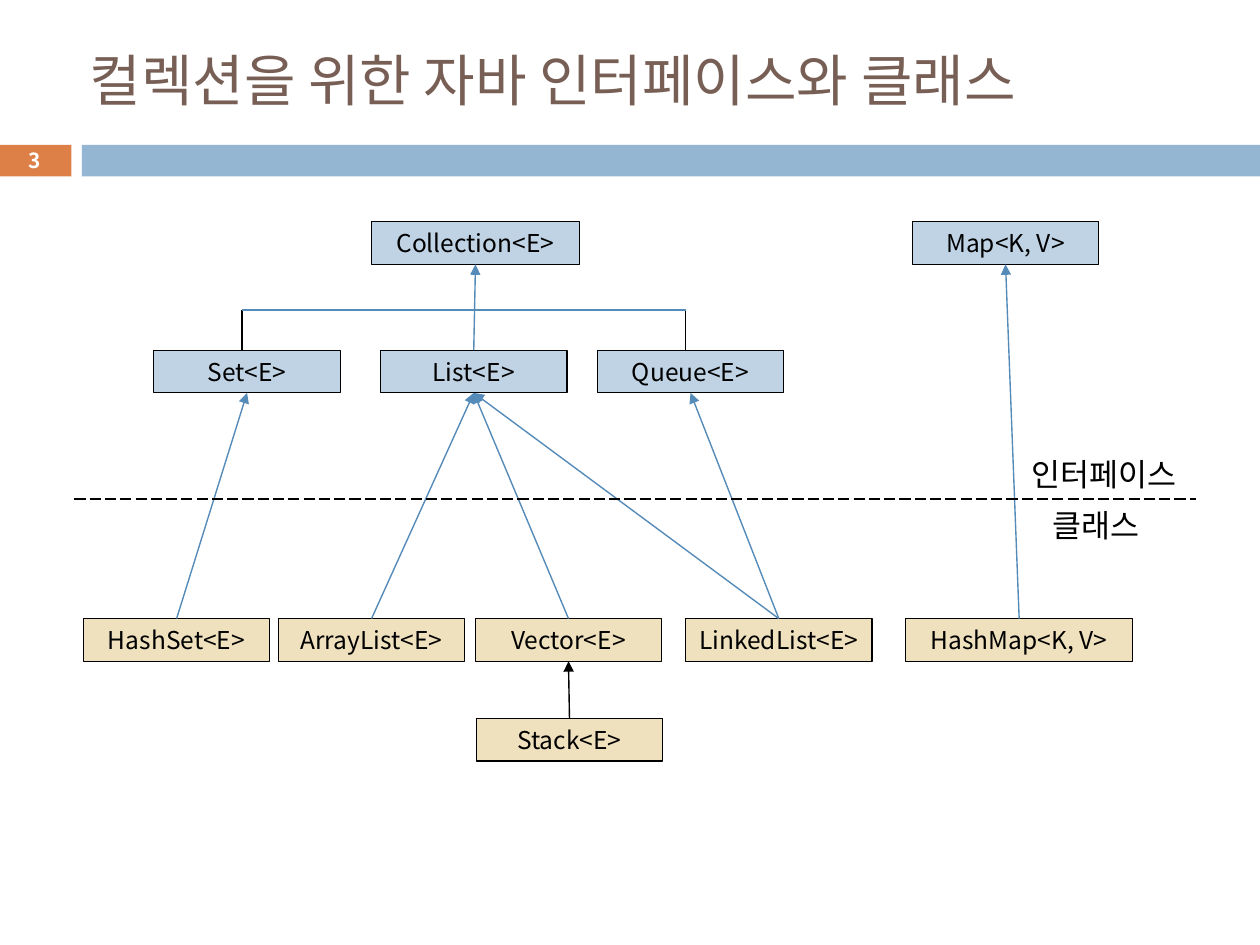
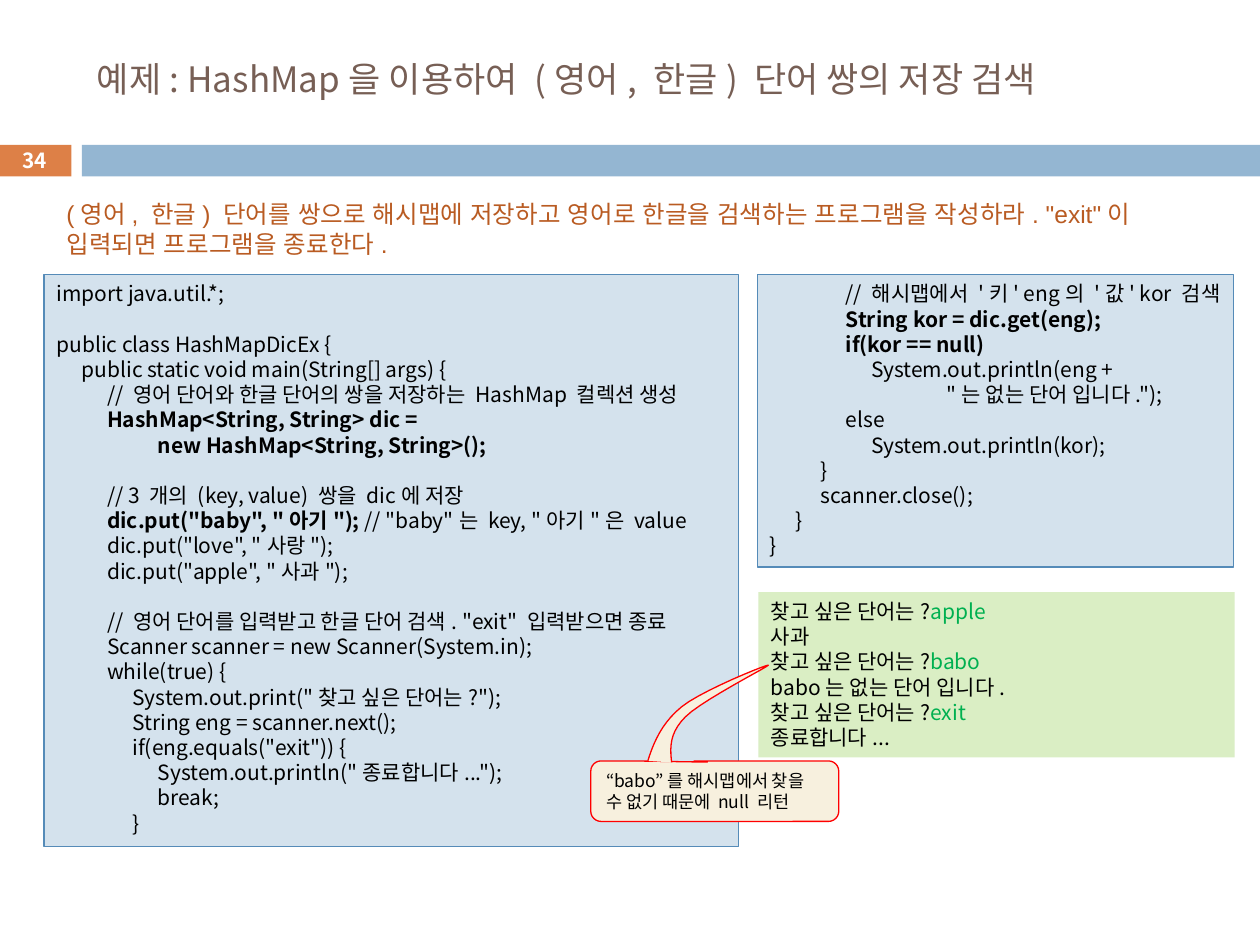
from lxml.etree import SubElement
from pptx import Presentation
from pptx.dml.color import RGBColor
from pptx.enum.dml import MSO_LINE
from pptx.enum.shapes import MSO_CONNECTOR, MSO_SHAPE as SHAPE
from pptx.enum.text import MSO_ANCHOR as ANCHOR, PP_ALIGN as ALIGN
from pptx.oxml.ns import qn
from pptx.util import Cm, Pt

FONT = "Noto Sans CJK KR"
BLACK = RGBColor(0x00, 0x00, 0x00)
WHITE = RGBColor(0xFF, 0xFF, 0xFF)
RED = RGBColor(0xFF, 0x00, 0x00)
BROWN = RGBColor(0x77, 0x5F, 0x55)
ORANGE = RGBColor(0xDD, 0x80, 0x47)
RUST = RGBColor(0xB9, 0x5B, 0x22)
BAND_BLUE = RGBColor(0x94, 0xB6, 0xD2)
LINE_BLUE = RGBColor(0x55, 0x8B, 0xB8)
INTERFACE_BLUE = RGBColor(0xBF, 0xD3, 0xE4)
CODE_BLUE = RGBColor(0xD4, 0xE2, 0xED)
CLASS_SAND = RGBColor(0xEF, 0xE0, 0xBE)
NOTE_CREAM = RGBColor(0xF7, 0xF0, 0xDE)
OUTPUT_GREEN = RGBColor(0xDA, 0xEE, 0xC4)
INPUT_GREEN = RGBColor(0x00, 0xB0, 0x50)

TOP, BOTTOM = 0, 2
BOX_WIDTH, BOX_HEIGHT = 3.76, 0.86
LINE_FACTOR = 1.2
INDENT = 4
INDENT_WIDTH = 0.51

# name: (left, top, width)
INTERFACES = {
    "Collection<E>": (7.49, 4.47, 4.19),
    "Set<E>": (3.1, 7.06, BOX_WIDTH),
    "List<E>": (7.67, 7.06, BOX_WIDTH),
    "Queue<E>": (12.04, 7.06, BOX_WIDTH),
    "Map<K, V>": (18.39, 4.47, BOX_WIDTH),
}
CLASSES = {
    "HashSet<E>": (1.68, 12.47, BOX_WIDTH),
    "ArrayList<E>": (5.61, 12.47, BOX_WIDTH),
    "Vector<E>": (9.58, 12.47, BOX_WIDTH),
    "LinkedList<E>": (13.82, 12.47, BOX_WIDTH),
    "HashMap<K, V>": (18.26, 12.47, 4.57),
    "Stack<E>": (9.6, 14.48, BOX_WIDTH),
}
PARENTS = [
    ("List<E>", "Collection<E>"),
    ("HashSet<E>", "Set<E>"),
    ("ArrayList<E>", "List<E>"),
    ("Vector<E>", "List<E>"),
    ("LinkedList<E>", "List<E>"),
    ("LinkedList<E>", "Queue<E>"),
    ("HashMap<K, V>", "Map<K, V>"),
    ("Stack<E>", "Vector<E>"),
]

QUESTION = ('(영어, 한글) 단어를 쌍으로 해시맵에 저장하고 영어로 한글을 검색하는 프로그램을 작성하라. '
            '"exit"이 입력되면 프로그램을 종료한다.')

CODE_START = """import java.util.*;

public class HashMapDicEx {
    public static void main(String[] args) {
        // 영어 단어와 한글 단어의 쌍을 저장하는 HashMap 컬렉션 생성
        **HashMap<String, String> dic =**
                **new HashMap<String, String>();**

        // 3 개의 (key, value) 쌍을 dic에 저장
        **dic.put("baby", "아기"); **// "baby"는 key, "아기"은 value
        dic.put("love", "사랑");
        dic.put("apple", "사과");

        // 영어 단어를 입력받고 한글 단어 검색. "exit" 입력받으면 종료
        Scanner scanner = new Scanner(System.in);
        while(true) {
            System.out.print("찾고 싶은 단어는?");
            String eng = scanner.next();
            if(eng.equals("exit")) {
                System.out.println("종료합니다...");
                break;
            }"""

CODE_END = """            // 해시맵에서 '키' eng의 '값' kor 검색
            **String kor = dic.get(eng);**
            **if(kor == null)**
                System.out.println(eng +
                            "는 없는 단어 입니다.");
            else
                System.out.println(kor);
        }
        scanner.close();
    }
}"""

OUTPUT = """찾고 싶은 단어는?**apple**
사과
찾고 싶은 단어는?**babo**
babo는 없는 단어 입니다.
찾고 싶은 단어는?**exit**
종료합니다..."""

TAIL_START = (13.06, 15.34)
TAIL_CURVES = [
    ((13.18, 14.96), (13.34, 14.58), (13.74, 14.25)),
    ((14.15, 13.92), (15.47, 13.39), (15.49, 13.41)),
    ((15.49, 13.44), (14.15, 14.12), (13.82, 14.45)),
    ((13.49, 14.78), (13.51, 15.07), (13.54, 15.37)),
]


def write(frame, text, size=14, color=BLACK, bold=False, font=FONT,
          align=ALIGN.LEFT, anchor=ANCHOR.TOP, accent=None):
    """Fill a frame: leading spaces indent, an empty line widens the gap,
    and **marked** parts take the accent colour, or bold without one."""
    frame.word_wrap = True
    frame.vertical_anchor = anchor
    line_height = Pt(size * LINE_FACTOR)
    paragraph, gap = None, 0
    for line in text.split("\n"):
        if not line:
            gap += line_height
            continue
        paragraph = frame.add_paragraph() if paragraph else frame.paragraphs[0]
        paragraph.alignment = align
        paragraph.line_spacing = line_height
        paragraph.space_before, gap = gap, 0
        code = line.lstrip(" ")
        level = (len(line) - len(code)) // INDENT
        if level:
            paragraph._p.get_or_add_pPr().set("marL", str(Cm(level * INDENT_WIDTH)))
        for index, part in enumerate(code.split("**")):
            if not part:
                continue
            marked = index % 2 == 1
            run = paragraph.add_run()
            run.text = part
            run.font.size = Pt(size)
            run.font.bold = bold or (marked and accent is None)
            run.font.color.rgb = accent if marked and accent else color
            run.font.name = font
            SubElement(run._r.rPr, qn("a:ea")).set("typeface", font)


def paint(shape, fill, line=None):
    shape.shadow.inherit = False
    shape.fill.solid()
    shape.fill.fore_color.rgb = fill
    if line is None:
        shape.line.fill.background()
    else:
        shape.line.color.rgb = line
        shape.line.width = Pt(0.75)


def add_panel(shapes, place, fill, line=None, text="", kind=SHAPE.RECTANGLE, **text_format):
    panel = shapes.add_shape(kind, *map(Cm, place))
    paint(panel, fill, line)
    if text:
        write(panel.text_frame, text, **text_format)
    return panel


def add_label(slide, place, text, **text_format):
    label = slide.shapes.add_textbox(*map(Cm, place))
    write(label.text_frame, text, **text_format)


def add_line(slide, start=(0, 0), end=(0, 0), color=LINE_BLUE):
    line = slide.shapes.add_connector(MSO_CONNECTOR.STRAIGHT, *map(Cm, start + end))
    line.line.color.rgb = color
    line.line.width = Pt(0.79)
    SubElement(line._element.spPr, qn("a:effectLst"))
    return line


def add_inheritance(slide, child, parent, color):
    arrow = add_line(slide, color=color)
    arrow.begin_connect(child, TOP)
    arrow.end_connect(parent, BOTTOM)
    SubElement(arrow.line._get_or_add_ln(), qn("a:tailEnd")).set("type", "triangle")


def curve_points(start, curves, steps=10):
    """Points along a chain of cubic Bézier curves."""
    for first, second, end in curves:
        for step in range(1, steps + 1):
            t = step / steps
            u = 1 - t
            yield tuple(
                Cm(u**3 * a + 3 * u * u * t * b + 3 * u * t * t * c + t**3 * d)
                for a, b, c, d in zip(start, first, second, end))
        start = end


def add_callout(slide, place, text):
    shapes = slide.shapes.add_group_shape().shapes
    note = add_panel(shapes, place, NOTE_CREAM, RED, text,
                     kind=SHAPE.ROUNDED_RECTANGULAR_CALLOUT, size=10)
    for index, value in enumerate((-0.03, -0.48, 0.17)):
        note.adjustments[index] = value
    builder = shapes.build_freeform(*map(Cm, TAIL_START))
    builder.add_line_segments(curve_points(TAIL_START, TAIL_CURVES), close=False)
    paint(builder.convert_to_shape(), NOTE_CREAM, RED)


def add_slide(deck, title, number, title_at, title_size):
    slide = deck.slides.add_slide(deck.slide_layouts[5])
    add_panel(slide.shapes, (-0.03, 2.92, 1.47, 0.64), ORANGE)
    add_panel(slide.shapes, (1.65, 2.92, 23.75, 0.64), BAND_BLUE)
    heading = slide.shapes.title
    heading.left, heading.top = map(Cm, title_at)
    heading.width, heading.height = Cm(22.66), Cm(1.88)
    write(heading.text_frame, title, size=title_size, color=BROWN, anchor=ANCHOR.MIDDLE)
    add_label(slide, (-0.03, 2.88, 1.47, 0.69), number, size=11.9, color=WHITE,
              bold=True, align=ALIGN.CENTER, anchor=ANCHOR.MIDDLE)
    return slide


def build_hierarchy(deck):
    slide = add_slide(deck, "컬렉션을 위한 자바 인터페이스와 클래스", "3", (1.55, 0.66), 32)
    boxes = {}
    for types, fill in ((INTERFACES, INTERFACE_BLUE), (CLASSES, CLASS_SAND)):
        for name, (left, top, width) in types.items():
            boxes[name] = add_panel(slide.shapes, (left, top, width, BOX_HEIGHT), fill, BLACK,
                                    name, align=ALIGN.CENTER, anchor=ANCHOR.MIDDLE)
    for child, parent in PARENTS:
        color = BLACK if child == "Stack<E>" else LINE_BLUE
        add_inheritance(slide, boxes[child], boxes[parent], color)

    set_x, queue_x, branch_y, box_y = 4.88, 13.82, 6.25, 7.06
    for x in (set_x, queue_x):
        add_line(slide, (x, box_y), (x, branch_y), BLACK)
    add_line(slide, (set_x, branch_y), (queue_x, branch_y))

    divider = add_line(slide, (1.5, 10.06), (24.1, 10.06), BLACK)
    divider.line.dash_style = MSO_LINE.LONG_DASH
    add_label(slide, (20.55, 9.04, 3.71, 1.02), "인터페이스", size=18)
    add_label(slide, (20.96, 10.08, 2.44, 1.02), "클래스", size=18)


def build_example(deck):
    slide = add_slide(deck, "예제: HashMap을 이용하여 (영어, 한글) 단어 쌍의 저장 검색",
                      "34", (1.7, 0.64), 20)
    add_label(slide, (1.09, 3.89, 22.91, 1.45), QUESTION, color=RUST, font="Arial")
    for place, code in (((0.89, 5.54, 14, 11.53), CODE_START),
                        ((15.27, 5.54, 9.6, 5.89), CODE_END)):
        panel = add_panel(slide.shapes, place, CODE_BLUE, LINE_BLUE, code, size=12)
        panel.text_frame.margin_right = 0
    add_panel(slide.shapes, (15.29, 11.94, 9.6, 3.33), OUTPUT_GREEN, text=OUTPUT,
              size=12, accent=INPUT_GREEN)
    add_callout(slide, (11.91, 15.34, 5, 1.22), "“babo”를 해시맵에서 찾을 수 없기 때문에 null 리턴")


def main():
    deck = Presentation()
    deck.slide_width, deck.slide_height = Cm(25.4), Cm(19.05)
    build_hierarchy(deck)
    build_example(deck)
    deck.save("out.pptx")


if __name__ == "__main__":
    main()
